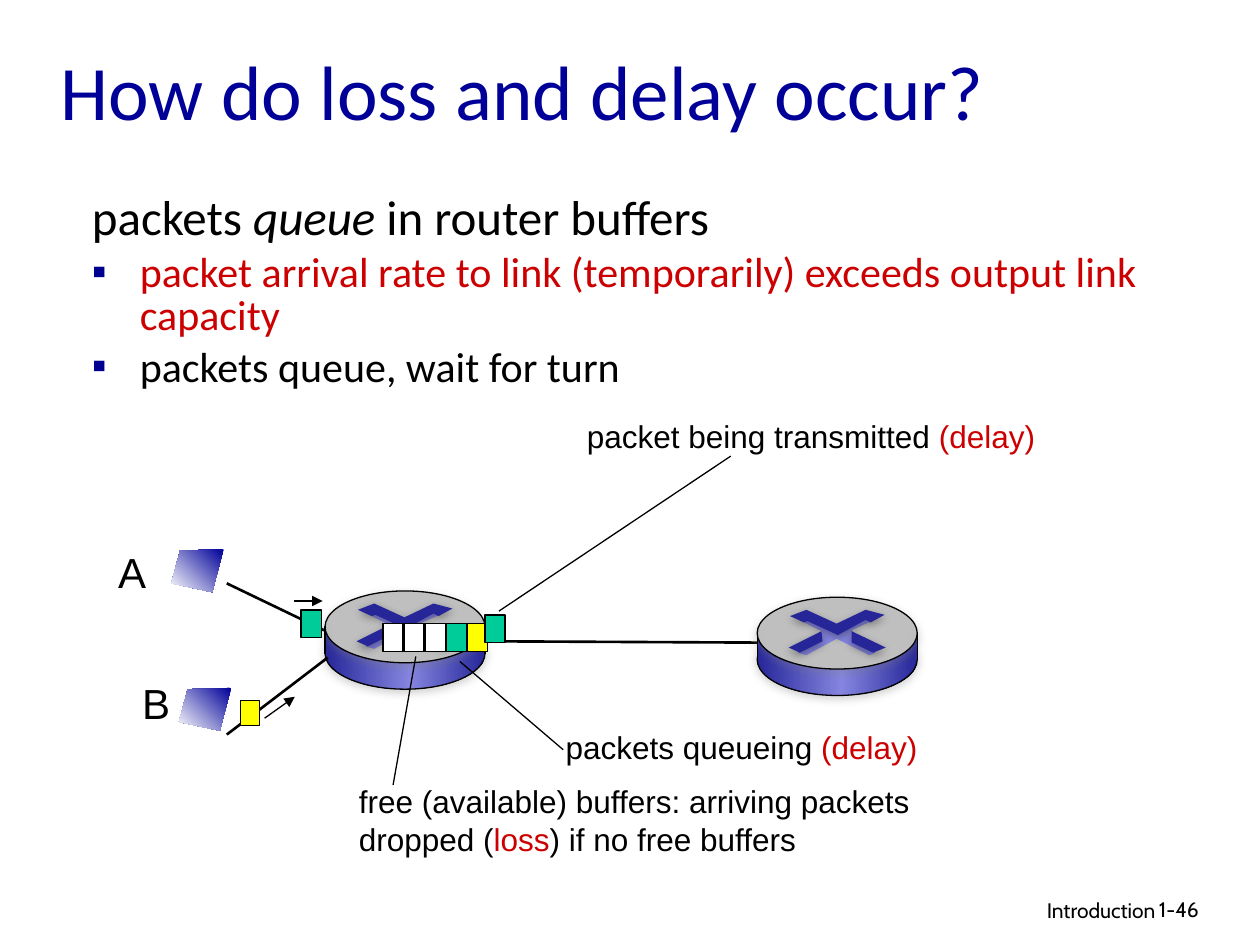
from lxml import etree
from pptx import Presentation
from pptx import util as u
from pptx.dml.color import RGBColor
from pptx.enum import shapes as kinds, text
from pptx.oxml.ns import qn

# Grid of square cells: 100 columns by 75 rows
COLS, ROWS = 100, 75
CELL = u.Inches(10) // COLS

BLACK, WHITE, RED, NAVY = "000000", "FFFFFF", "CC0000", "000099"
GREEN, YELLOW, GREY = "00CC99", "FFFF00", "BFBFBF"
DARK, LIGHT = "262699", "8585E0"
RIM = [(0, DARK), (53, LIGHT), (100, DARK)]
SCREEN = [(0, NAVY), (100, WHITE)]

# Router parts, in cells from the router's top left corner
ROUTER_W, DISC_H, ROUTER_DEPTH = 12.7, 5.7, 2.1
CROSS = [(6.3, 3.3), (3.9, 4.6), (3.2, 4.4), (5.2, 3.5), (5.1, 2.7),
         (3.7, 2), (4.2, 1.8), (6.3, 2.8), (8.5, 1.7), (9.1, 1.9),
         (7.5, 2.6), (7.9, 3.7), (9.4, 4.4), (8.9, 4.6)]
CHEVRON = [(2.6, 1.5), (3.9, 1), (6.3, 2.1), (8.6, 1), (10.1, 1.4),
           (9, 2), (8.6, 1.8), (6.4, 3), (4, 1.9), (3.7, 2)]
RIGHT_ARM = [(7.5, 2.7), (10.2, 4), (9.2, 4.4), (7.5, 3.6)]
LEFT_ARM = [(5.1, 2.7), (5.2, 3.5), (3.4, 4.4), (2.5, 4)]
MONITOR = [(4.15, 0), (0.7, 0.1), (0, 2.7), (3.25, 3.4)]


def cells(*lengths):
    return [u.Emu(round(length * CELL)) for length in lengths]


def rgb(colour):
    return RGBColor.from_string(colour)


def paint(shape, fill, angle=0):
    """Fill with one colour, or with a list of (percent, colour) stops."""
    if isinstance(fill, str):
        shape.fill.solid()
        shape.fill.fore_color.rgb = rgb(fill)
        return
    shape.fill.gradient()
    shape.fill.gradient_angle = angle
    stops = shape.element.spPr.find(qn("a:gradFill")).find(qn("a:gsLst"))
    for stop in list(stops):
        stops.remove(stop)
    for percent, colour in fill:
        stop = etree.SubElement(stops, qn("a:gs"), pos=str(percent * 1000))
        etree.SubElement(stop, qn("a:srgbClr"), val=colour)


def outline(shape, width):
    if width:
        shape.line.color.rgb = rgb(BLACK)
        shape.line.width = u.Pt(width)
    else:
        shape.line.fill.background()


def set_shadow(shape, colour=None):
    """Soft shadow below the shape, or none without a colour."""
    effects = etree.SubElement(shape.element.spPr, qn("a:effectLst"))
    if colour:
        cast = etree.SubElement(effects, qn("a:outerShdw"),
                                blurRad=str(u.Pt(5)), dist=str(u.Pt(1.8)),
                                dir="5400000", rotWithShape="0")
        tint = etree.SubElement(cast, qn("a:srgbClr"), val=colour)
        etree.SubElement(tint, qn("a:alpha"), val="35000")


def add_line(parent, start, end, width=0.75, arrow=False, shadow=None):
    line = parent.shapes.add_connector(kinds.MSO_CONNECTOR.STRAIGHT,
                                       *cells(*start, *end))
    outline(line, width)
    if arrow:
        stroke = line.element.spPr.find(qn("a:ln"))
        etree.SubElement(stroke, qn("a:tailEnd"), type="triangle")
    set_shadow(line, shadow)


def add_block(parent, preset, box, fill, width=0.75, shadow=None):
    block = parent.shapes.add_shape(preset, *cells(*box))
    paint(block, fill)
    outline(block, width)
    set_shadow(block, shadow)


def add_outline(parent, left, top, points, fill, angle=0, shadow=None):
    corners = [cells(left + x, top + y) for x, y in points]
    builder = parent.shapes.build_freeform(*corners[0])
    builder.add_line_segments(corners[1:], close=True)
    figure = builder.convert_to_shape()
    paint(figure, fill, angle)
    outline(figure, 0)
    set_shadow(figure, shadow)


def add_router(slide, left, top):
    router = slide.shapes.add_group_shape()
    oval = kinds.MSO_SHAPE.OVAL
    base = top + ROUTER_DEPTH
    add_block(router, oval, (left, base, ROUTER_W, DISC_H), RIM, shadow="808080")
    add_block(router, kinds.MSO_SHAPE.RECTANGLE,
              (left, top + 2.9, ROUTER_W, ROUTER_DEPTH), RIM, width=0)
    add_block(router, oval, (left, top, ROUTER_W, DISC_H), GREY, shadow="808080")
    add_outline(router, left, top, CROSS, LIGHT)
    for part in (CHEVRON, RIGHT_ARM, LEFT_ARM):
        add_outline(router, left, top, part, DARK, shadow=BLACK)
    for side in (left, left + ROUTER_W):
        add_line(router, (side, top + 5), (side, top + 2.8), shadow="808080")


def add_packet(slide, left, top, colour, width=1.6, height=2.2):
    add_block(slide, kinds.MSO_SHAPE.RECTANGLE, (left, top, width, height), colour)


def write(paragraph, parts, size, font):
    """Put (words, colour) parts into a paragraph as formatted runs."""
    for words, colour in parts:
        run = paragraph.add_run()
        run.text = words
        run.font.size = u.Pt(size)
        run.font.name = font
        run.font.color.rgb = rgb(colour)


def add_label(slide, box, lines, size=18, font="Arial", align=text.PP_ALIGN.LEFT):
    frame = slide.shapes.add_textbox(*cells(*box)).text_frame
    frame.word_wrap = True
    for index, parts in enumerate(lines):
        paragraph = frame.add_paragraph() if index else frame.paragraphs[0]
        paragraph.alignment = align
        write(paragraph, parts, size, font)


def place(holder, box, anchor):
    holder.left, holder.top, holder.width, holder.height = cells(*box)
    holder.text_frame.auto_size = text.MSO_AUTO_SIZE.NONE
    holder.text_frame.vertical_anchor = anchor
    return holder.text_frame


def fill_title(slide):
    frame = place(slide.shapes.title, (3.8, 0.9, 85, 12.5), text.MSO_ANCHOR.MIDDLE)
    frame.paragraphs[0].alignment = text.PP_ALIGN.LEFT
    write(frame.paragraphs[0], [("How do loss and delay occur?", NAVY)], 44, "Calibri")


def fill_body(slide):
    frame = place(slide.placeholders[1], (6.3, 15, 93.7, 23.1), text.MSO_ANCHOR.TOP)
    points = [
        ([("packets ", BLACK), ("queue", BLACK), (" in router buffers", BLACK)], 28),
        ([("packet arrival rate to link (temporarily) exceeds output link capacity",
           RED)], 24),
        ([("packets queue, wait for turn", BLACK)], 24),
    ]
    for index, (parts, size) in enumerate(points):
        paragraph = frame.add_paragraph() if index else frame.paragraphs[0]
        paragraph.line_spacing = 0.85
        paragraph.space_before = u.Pt(4.8 if index else 0)
        props = paragraph._p.get_or_add_pPr()
        props.set("marL", str(u.Inches(0.38)))
        props.set("indent", str(-u.Inches(0.38)))
        if index:
            colour = etree.SubElement(props, qn("a:buClr"))
            etree.SubElement(colour, qn("a:srgbClr"), val="000090")
            etree.SubElement(props, qn("a:buChar"), char="▪")
        else:
            etree.SubElement(props, qn("a:buNone"))
        write(paragraph, parts, size, "Calibri")
    frame.paragraphs[0].runs[1].font.italic = True


def draw_network(slide):
    # Routers and links
    add_line(slide, (18, 46.3), (26.1, 50.2), 1.5)
    add_router(slide, 25.8, 46.9)
    add_line(slide, (39, 50.9), (60.2, 51), 1.5)
    add_line(slide, (18, 58.3), (26, 52.2), 1.5)
    add_router(slide, 60.1, 47.4)
    # Hosts
    for name, x, y, left, top in (("A", 8.4, 42.9, 13.6, 43.6),
                                  ("B", 10.3, 53.3, 14.2, 54.6)):
        add_label(slide, (x, y, 4.4, 5), [[(name, BLACK)]], size=24)
        add_outline(slide, left, top, MONITOR, SCREEN, angle=225)
    # Buffer slots, then the packet on its way out
    for slot, colour in enumerate((WHITE, WHITE, WHITE, GREEN, YELLOW)):
        add_packet(slide, 30.4 + slot * 1.67, 49.5, colour)
    add_packet(slide, 38.5, 48.8, GREEN)
    # Arriving packets
    add_packet(slide, 23.9, 48.4, GREEN)
    add_line(slide, (23.3, 47.7), (25.6, 47.7), arrow=True)
    add_packet(slide, 19.1, 55.6, YELLOW, 1.5, 2)
    add_line(slide, (21, 57), (23.4, 55.3), arrow=True)


def add_callouts(slide):
    add_label(slide, (45.6, 32.6, 38, 4),
              [[("packet being transmitted ", BLACK), ("(delay)", RED)]])
    add_line(slide, (58, 36.2), (39.6, 48.5))
    add_label(slide, (43.9, 57.3, 30.5, 4),
              [[("packets queueing ", BLACK), ("(delay)", RED)]])
    add_line(slide, (44.7, 59.5), (36.5, 52.5))
    add_label(slide, (27.5, 61.6, 46.5, 7),
              [[("free (available) buffers: arriving packets", BLACK)],
               [("dropped (", BLACK), ("loss", RED), (") if no free buffers", BLACK)]])
    add_line(slide, (31.2, 62.3), (33, 52.1))


def add_footer(slide):
    add_label(slide, (61, 70.7, 31.7, 3.1), [[("Introduction", BLACK)]],
              12, "Cabin", text.PP_ALIGN.RIGHT)
    add_label(slide, (91, 70.7, 7.4, 3), [[("1-46", BLACK)]], 12, "Cabin")


def main():
    deck = Presentation()
    deck.slide_width, deck.slide_height = cells(COLS, ROWS)
    slide = deck.slides.add_slide(deck.slide_layouts[1])
    fill_title(slide)
    fill_body(slide)
    draw_network(slide)
    add_callouts(slide)
    add_footer(slide)
    deck.save("out.pptx")


if __name__ == "__main__":
    main()
